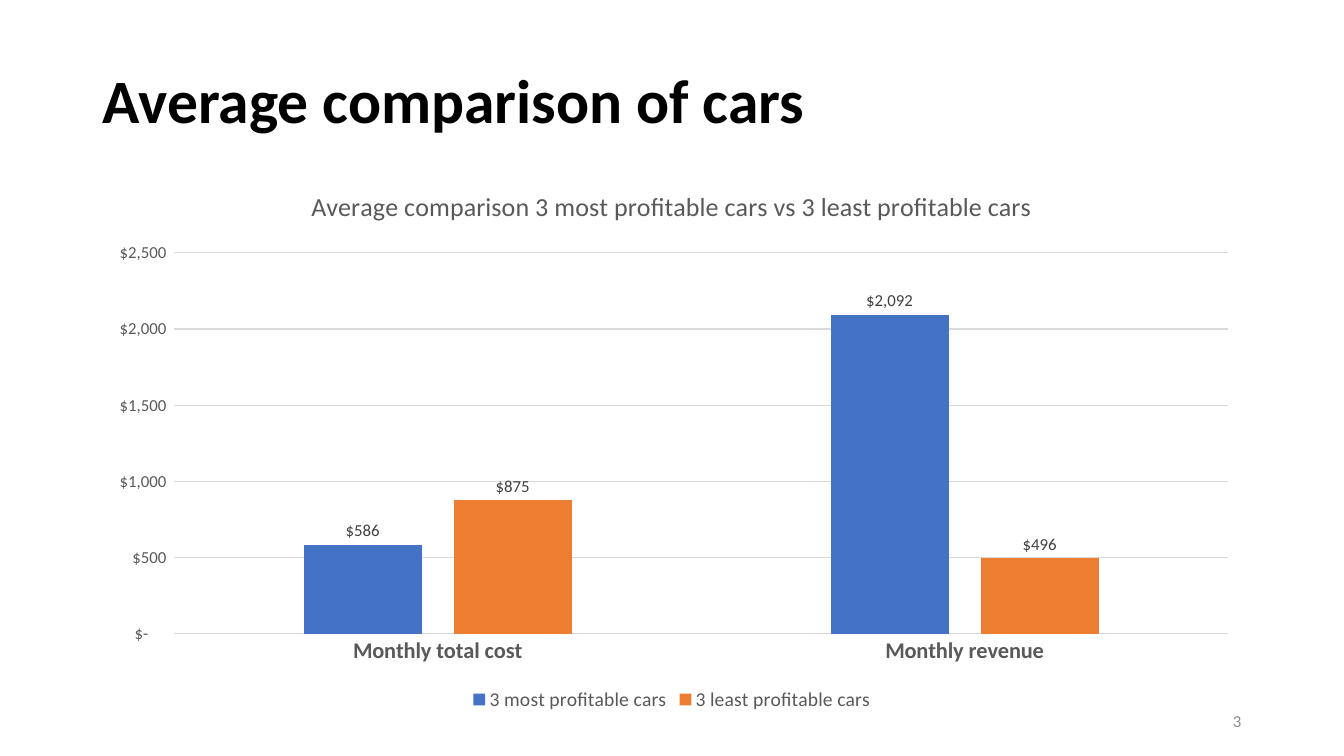
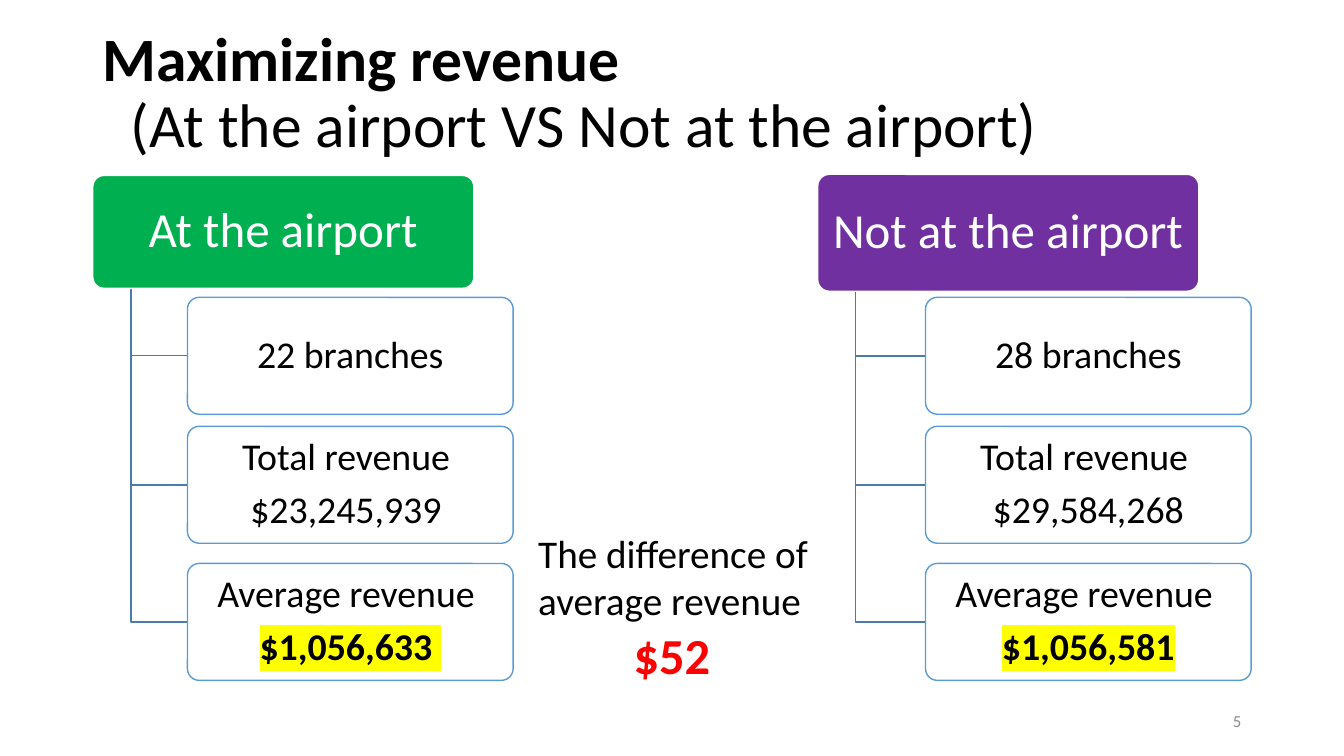
from lxml import etree
from pptx import Presentation
from pptx.chart.data import CategoryChartData
from pptx.dml.color import RGBColor
from pptx.enum.chart import XL_CHART_TYPE, XL_LABEL_POSITION, XL_LEGEND_POSITION, XL_TICK_MARK
from pptx.enum.shapes import MSO_SHAPE
from pptx.enum.text import MSO_ANCHOR, PP_ALIGN
from pptx.oxml.ns import qn
from pptx.util import Inches, Pt

COLUMNS = XL_CHART_TYPE.COLUMN_CLUSTERED
OUTSIDE_END = XL_LABEL_POSITION.OUTSIDE_END
BOTTOM = XL_LEGEND_POSITION.BOTTOM
NO_TICK = XL_TICK_MARK.NONE
ROUNDED = MSO_SHAPE.ROUNDED_RECTANGLE
MIDDLE, TOP = MSO_ANCHOR.MIDDLE, MSO_ANCHOR.TOP
LEFT, CENTER, RIGHT = PP_ALIGN.LEFT, PP_ALIGN.CENTER, PP_ALIGN.RIGHT

FONT = "Calibri"
BLACK, WHITE, RED, YELLOW = "000000", "FFFFFF", "FF0000", "FFFF00"
GREEN, PURPLE, BLUE, ORANGE = "00B050", "7030A0", "4472C4", "ED7D31"
CHART_GREY, LABEL_GREY, GRID_GREY, NUMBER_GREY = "595959", "404040", "D9D9D9", "8C8C8C"
BOX_BORDER, BRANCH_BLUE = "5B9BD5", "497CAB"
DOLLARS = r'_("$"* #,##0_);_("$"* \(#,##0\);_("$"* "-"??_);_(@_)'

SLIDE_W, SLIDE_H = 13.33, 7.5
MARGIN = 0.92
CONTENT_W = SLIDE_W - 2 * MARGIN
HEADER_W = 3.78
LEAF_W, LEAF_H = 3.23, 1.16
LEAF_ROWS = (2.95, 4.23, 5.59)


def rgb(value):
    """Turn a hex string into a colour."""
    return RGBColor.from_string(value)


def style_font(font, size, color, bold=False):
    """Set the face, size, colour and weight of a font."""
    font.name, font.size, font.bold = FONT, Pt(size), bold
    font.color.rgb = rgb(color)


def highlight(run, color):
    """Mark a run with a background colour."""
    mark = etree.Element(qn("a:highlight"))
    etree.SubElement(mark, qn("a:srgbClr")).set("val", color)
    run.font._element.find(qn("a:latin")).addprevious(mark)


def write(frame, lines, size, color=BLACK, align=LEFT, spacing=1.0, after=0, anchor=MIDDLE):
    """Fill a text frame with (text, bold, highlight colour) lines."""
    frame.word_wrap, frame.vertical_anchor = True, anchor
    for index, (text, bold, mark) in enumerate(lines):
        paragraph = frame.add_paragraph() if index else frame.paragraphs[0]
        paragraph.alignment, paragraph.line_spacing = align, spacing
        paragraph.space_after = Pt(after)
        run = paragraph.add_run()
        run.text = text
        style_font(run.font, size, color, bold)
        if mark:
            highlight(run, mark)


def add_text(slide, box, lines, size, **options):
    """Add a text box and return its frame."""
    frame = slide.shapes.add_textbox(*map(Inches, box)).text_frame
    write(frame, lines, size, **options)
    return frame


def add_page(deck, number, title_top, title_height, title_lines):
    """Add a blank slide with the shared title and page number; return it with the title."""
    slide = deck.slides.add_slide(deck.slide_layouts[6])
    title = add_text(slide, (MARGIN, title_top, CONTENT_W, title_height),
                     title_lines, 44, spacing=0.9)
    add_text(slide, (SLIDE_W - MARGIN - 3, 6.95, 3, 0.4), [(number, False, None)], 12,
             color=NUMBER_GREY, align=RIGHT)
    return slide, title


def add_box(slide, box, lines, size, color, fill, border):
    """Add a rounded box with centred text."""
    shape = slide.shapes.add_shape(ROUNDED, *map(Inches, box))
    shape.shadow.inherit = False
    shape.adjustments[0] = 0.1
    shape.fill.solid()
    shape.fill.fore_color.rgb = rgb(fill)
    shape.line.color.rgb = rgb(border)
    shape.line.width = Pt(1)
    frame = shape.text_frame
    frame.margin_left = frame.margin_right = Inches(0.07)
    frame.margin_top = frame.margin_bottom = Inches(0.05)
    write(frame, lines, size, color=color, align=CENTER, spacing=0.9, after=9)


def add_branch(slide, trunk_x, top, leaf_x, leaf_y):
    """Draw an elbow line from the header down and across to a leaf."""
    x, start, end, y = map(Inches, (trunk_x, top, leaf_x, leaf_y))
    builder = slide.shapes.build_freeform(x, start)
    builder.add_line_segments([(x, y), (end, y)], close=False)
    branch = builder.convert_to_shape()
    branch.shadow.inherit = False
    branch.fill.background()
    branch.line.color.rgb = rgb(BRANCH_BLUE)
    branch.line.width = Pt(1)


def add_tree(slide, left, top, height, leaf_x, heading, color, leaves):
    """Add a header box with its column of linked leaves."""
    for row, lines in zip(LEAF_ROWS, leaves):
        add_branch(slide, left + HEADER_W / 10, top + height, leaf_x, row + LEAF_H / 2)
        add_box(slide, (leaf_x, row, LEAF_W, LEAF_H), lines, 27, BLACK, WHITE, BOX_BORDER)
    add_box(slide, (left, top, HEADER_W, height), [(heading, False, None)], 35,
            WHITE, color, WHITE)


def grey_line(line):
    """Give a chart line the thin grid style."""
    line.color.rgb = rgb(GRID_GREY)
    line.width = Pt(0.75)


def add_column_chart(slide, box, heading, categories, series):
    """Add a clustered column chart from (name, values, colour) series."""
    data = CategoryChartData(number_format=DOLLARS)
    data.categories = categories
    for name, values, _ in series:
        data.add_series(name, values)
    chart = slide.shapes.add_chart(COLUMNS, *map(Inches, box), data).chart
    style_font(chart.font, 10, BLACK)

    chart.has_title = True
    run = chart.chart_title.text_frame.paragraphs[0].add_run()
    run.text = heading
    style_font(run.font, 18.6, CHART_GREY)
    chart.has_legend = True
    chart.legend.position = BOTTOM
    chart.legend.include_in_layout = False
    style_font(chart.legend.font, 14, CHART_GREY)

    names, amounts = chart.category_axis, chart.value_axis
    for axis, size, bold in ((names, 16, True), (amounts, 12, False)):
        axis.major_tick_mark = axis.minor_tick_mark = NO_TICK
        style_font(axis.tick_labels.font, size, CHART_GREY, bold)
    grey_line(names.format.line)
    amounts.minimum_scale, amounts.maximum_scale, amounts.major_unit = 0, 2500, 500
    amounts.format.line.fill.background()
    grey_line(amounts.major_gridlines.format.line)
    amounts.tick_labels.number_format = DOLLARS
    amounts.tick_labels.number_format_is_linked = False

    plot = chart.plots[0]
    plot.gap_width, plot.overlap, plot.vary_by_categories = 219, -27, False
    for columns, (_, _, color) in zip(plot.series, series):
        columns.format.fill.solid()
        columns.format.fill.fore_color.rgb = rgb(color)
        labels = columns.data_labels
        labels.show_value, labels.position = True, OUTSIDE_END
        labels.number_format, labels.number_format_is_linked = DOLLARS, False
        style_font(labels.font, 12, LABEL_GREY)


def leaf_lines(branches, total, average):
    """Return the lines of the three leaves of a tree."""
    return [
        [(branches, False, None)],
        [("Total revenue ", False, None), (total, False, None)],
        [("Average revenue ", False, None), (average, True, YELLOW)],
    ]


def build_comparison(deck):
    """Build the slide that compares car costs and revenue."""
    slide, _ = add_page(deck, "3", 0.4, 1.26, [("Average comparison of cars", True, None)])
    add_column_chart(
        slide, (MARGIN, 1.66, CONTENT_W, 5.44),
        "Average comparison 3 most profitable cars vs 3 least profitable cars",
        ("Monthly total cost", "Monthly revenue"),
        [("3 most profitable cars", (586, 2092), BLUE),
         ("3 least profitable cars", (875, 496), ORANGE)])


def build_revenue(deck):
    """Build the slide that compares branch revenue."""
    slide, title = add_page(deck, "5", 0.15, 1.58, [
        ("Maximizing revenue", True, None),
        ("(At the airport VS Not at the airport)", False, None)])
    title.paragraphs[1]._p.get_or_add_pPr().set("marL", str(Inches(0.28)))
    add_tree(slide, MARGIN, 1.74, 1.12, 1.86, "At the airport", GREEN,
             leaf_lines("22 branches", "$23,245,939 ", "$1,056,633 "))
    add_tree(slide, 8.11, 1.73, 1.16, SLIDE_W - MARGIN - LEAF_W, "Not at the airport", PURPLE,
             leaf_lines("28 branches", "$29,584,268", "$1,056,581"))
    add_text(slide, (5.24, 5.2, 3, 1.35),
             [("The difference of average revenue", False, None)], 28, anchor=TOP)
    add_text(slide, (5.89, 6.14, 1.55, 0.71), [("$52", True, None)], 36,
             color=RED, align=CENTER, anchor=TOP)


def main():
    """Build and save the presentation."""
    deck = Presentation()
    deck.slide_width, deck.slide_height = Inches(SLIDE_W), Inches(SLIDE_H)
    build_comparison(deck)
    build_revenue(deck)
    deck.save("out.pptx")


if __name__ == "__main__":
    main()
